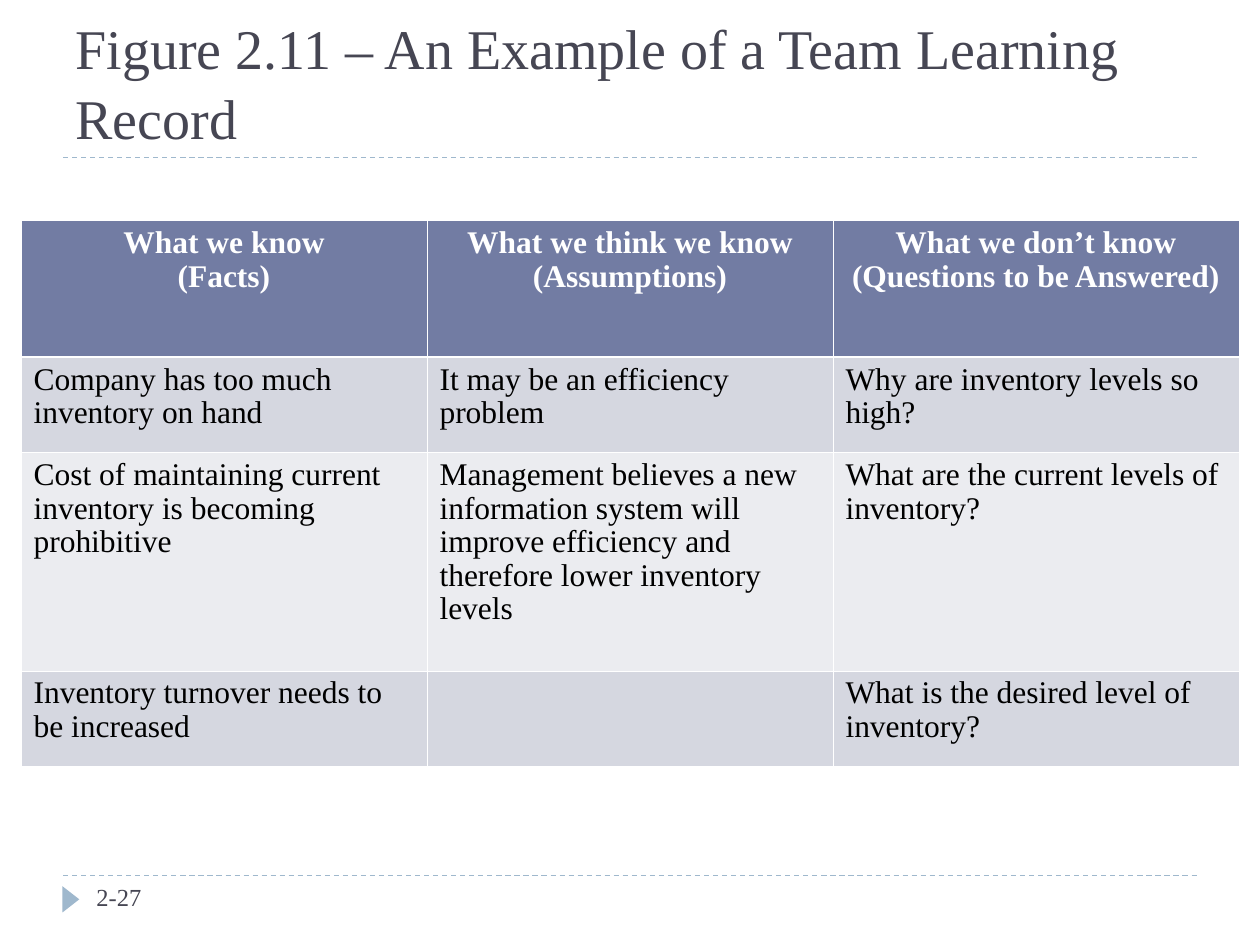
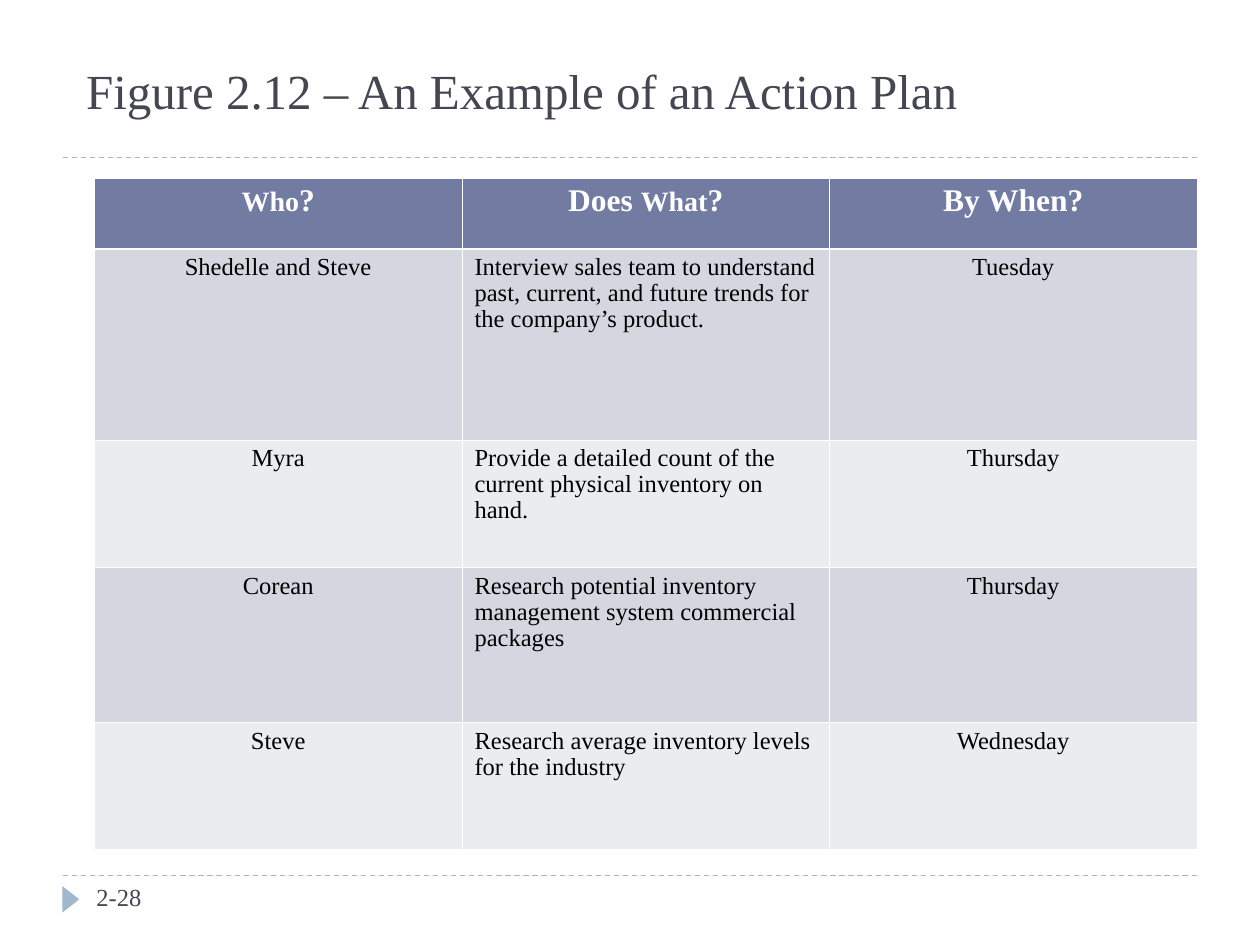
from lxml import etree
from pptx import Presentation
from pptx import util as u
from pptx.dml.color import RGBColor
from pptx.enum import dml, shapes, text
from pptx.oxml import ns

COLORS = {
    "ink": "464653", "accent": "9FB8CD", "header": "727CA3",
    "band": "D5D7E0", "pale": "EBECF0", "white": "FFFFFF", "black": "000000",
}
FONT = "Times New Roman"
COLS, ROWS = 120, 90
LEFT, CENTER = text.PP_ALIGN.LEFT, text.PP_ALIGN.CENTER


def rgb(name):
    return RGBColor.from_string(COLORS[name])


class Deck:
    def __init__(self):
        self.prs = Presentation()
        self.prs.slide_width, self.prs.slide_height = u.Inches(10), u.Inches(7.5)
        self.s = None

    def x(self, cols):
        return u.Emu(round(self.prs.slide_width * cols / COLS))

    def y(self, rows):
        return u.Emu(round(self.prs.slide_height * rows / ROWS))

    def box(self, left, top, width, height):
        return self.x(left), self.y(top), self.x(width), self.y(height)

    def run(self, p, words, size, color, bold=False):
        r = p.add_run()
        r.text = words
        r.font.name, r.font.size, r.font.bold = FONT, u.Pt(size), bold
        r.font.color.rgb = rgb(color)

    def slide(self, title, left, top, size, number):
        self.s = self.prs.slides.add_slide(self.prs.slide_layouts[5])
        for row in (83.4, 15):
            self.rule(row)
        self.marker()
        self.title(title, left, top, size)
        self.number(number)

    def rule(self, row):
        c = self.s.shapes.add_connector(
            shapes.MSO_CONNECTOR.STRAIGHT, self.x(6), self.y(row), self.x(114), self.y(row))
        c.line.color.rgb = rgb("accent")
        c.line.width = u.Pt(0.75)
        c.line.dash_style = dml.MSO_LINE.DASH
        etree.SubElement(c._element.spPr, ns.qn("a:effectLst"))

    def marker(self):
        sp = self.s.shapes.add_shape(
            shapes.MSO_SHAPE.ISOSCELES_TRIANGLE, *self.box(5.5, 84.85, 2.5, 1.6))
        sp.rotation = 90
        sp.shadow.inherit = False
        sp.fill.solid()
        sp.fill.fore_color.rgb = rgb("accent")
        sp.line.fill.background()

    def title(self, words, left, top, size):
        sp = self.s.shapes.title
        sp.left, sp.top, sp.width, sp.height = self.box(left, top, 108, 12)
        tf = sp.text_frame
        tf.word_wrap = True
        tf.auto_size = text.MSO_AUTO_SIZE.NONE
        tf.vertical_anchor = text.MSO_ANCHOR.BOTTOM
        p = tf.paragraphs[0]
        p.alignment = LEFT
        p.line_spacing = 1.05
        self.run(p, words, size, "ink")

    def number(self, words):
        tf = self.s.shapes.add_textbox(*self.box(8, 83.4, 26, 4.8)).text_frame
        tf.word_wrap = True
        self.run(tf.paragraphs[0], words, 14, "ink")

    def border(self, cell, side, width, index):
        ln = etree.Element(ns.qn(f"a:ln{side}"), w=str(u.Pt(width)))
        fill = etree.SubElement(ln, ns.qn("a:solidFill"))
        etree.SubElement(fill, ns.qn("a:srgbClr"), val=COLORS["white"])
        cell._tc.get_or_add_tcPr().insert(index, ln)

    def cell(self, cell, paragraphs, row, size, align):
        head = row == 0
        cell.fill.solid()
        cell.fill.fore_color.rgb = rgb("header" if head else "band" if row % 2 else "pale")
        heavy = {(0, "B"), (1, "T")}
        for index, side in enumerate("LRTB"):
            self.border(cell, side, 1.47 if (row, side) in heavy else 0.45, index)
        for i, runs in enumerate(paragraphs):
            tf = cell.text_frame
            p = tf.add_paragraph() if i else tf.paragraphs[0]
            p.alignment = CENTER if head else align
            p.line_spacing = 0.96
            for words, run_size in runs:
                for n, line in enumerate(words.split("\n")):
                    if n:
                        p.add_line_break()
                    self.run(p, line, run_size or size, "white" if head else "black", head)

    def table(self, left, top, width, heights, header, body, size, aligns):
        frame = self.s.shapes.add_table(
            len(heights), len(header), *self.box(left, top, width, sum(heights)))
        tbl = frame.table
        tbl.horz_banding = False
        for col in tbl.columns:
            col.width = self.x(width / len(header))
        plain = [[[[(words, None)]] if words else [] for words in line] for line in body]
        for r, (height, line) in enumerate(zip(heights, [header] + plain)):
            tbl.rows[r].height = self.y(height)
            for c, paragraphs in enumerate(line):
                self.cell(tbl.cell(r, c), paragraphs, r, size, aligns[c])


def main():
    deck = Deck()

    deck.slide("Figure 2.11 – An Example of a Team Learning Record", 6, 3, 32, "2-27")
    deck.table(
        2, 21, 116, [13, 9.1, 20.8, 9.1],
        [
            [[("What we know\n(Facts)", 18)]],
            [[("What we think we know", 18)], [("(Assumptions)", 18)]],
            [[("What we don’t know", 18)], [("(Questions to be Answered)", 18)]],
        ],
        [
            ["Company has too much inventory on hand",
             "It may be an efficiency problem",
             "Why are inventory levels so high?"],
            ["Cost of maintaining current inventory is becoming prohibitive",
             "Management believes a new information system will improve efficiency "
             "and therefore lower inventory levels",
             "What are the current levels of inventory?"],
            ["Inventory turnover needs to be increased",
             "",
             "What is the desired level of inventory?"],
        ],
        18, [LEFT, LEFT, LEFT])

    deck.slide("Figure 2.12 – An Example of an Action Plan", 7, 0, 28, "2-28")
    deck.table(
        9, 17, 105, [6.7, 18.2, 12.1, 14.8, 12.1],
        [
            [[("Who", 16), ("?", 18)]],
            [[("Does ", 18), ("What", 16), ("?", 18)]],
            [[("By When?", 18)]],
        ],
        [
            ["Shedelle and Steve",
             "Interview sales team to understand past, current, and future trends "
             "for the company’s product.",
             "Tuesday"],
            ["Myra",
             "Provide a detailed count of the current physical inventory on hand.",
             "Thursday"],
            ["Corean",
             "Research potential inventory management system commercial packages",
             "Thursday"],
            ["Steve",
             "Research average inventory levels for the industry",
             "Wednesday"],
        ],
        14, [CENTER, LEFT, CENTER])

    deck.prs.save("out.pptx")


if __name__ == "__main__":
    main()
